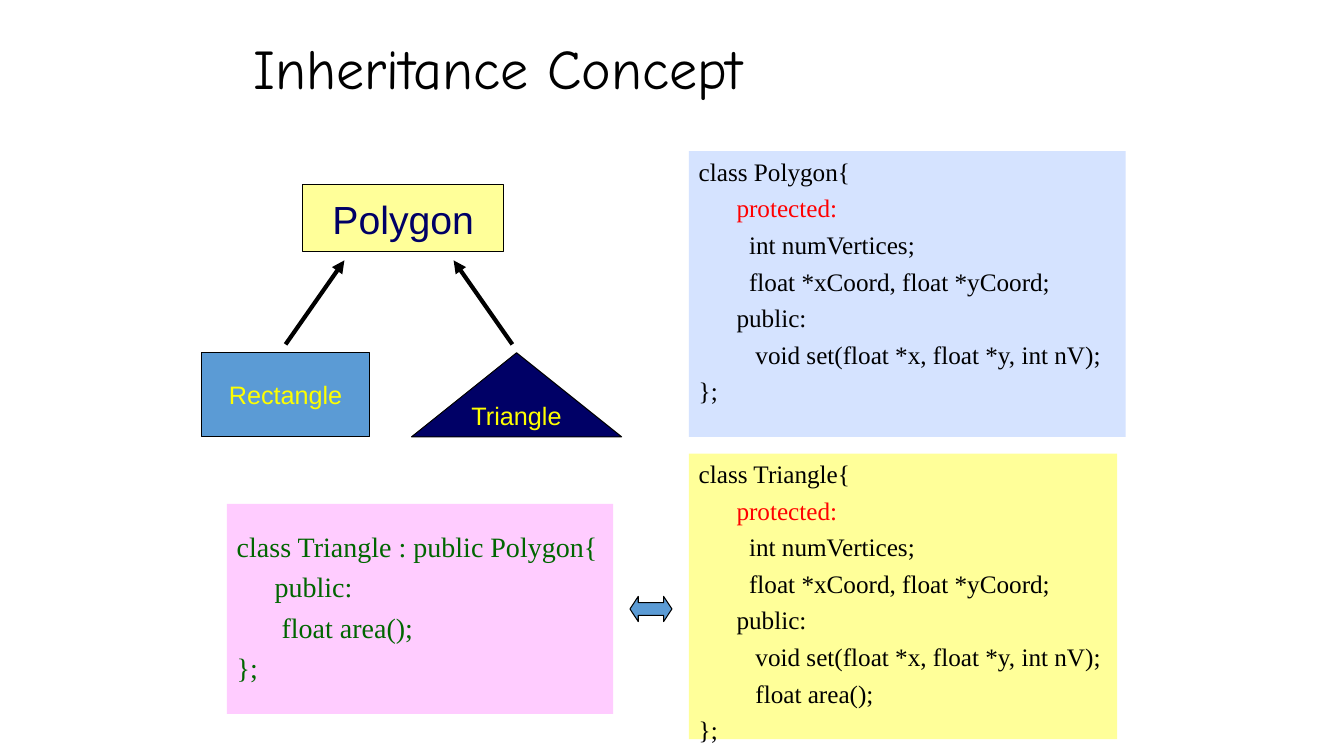
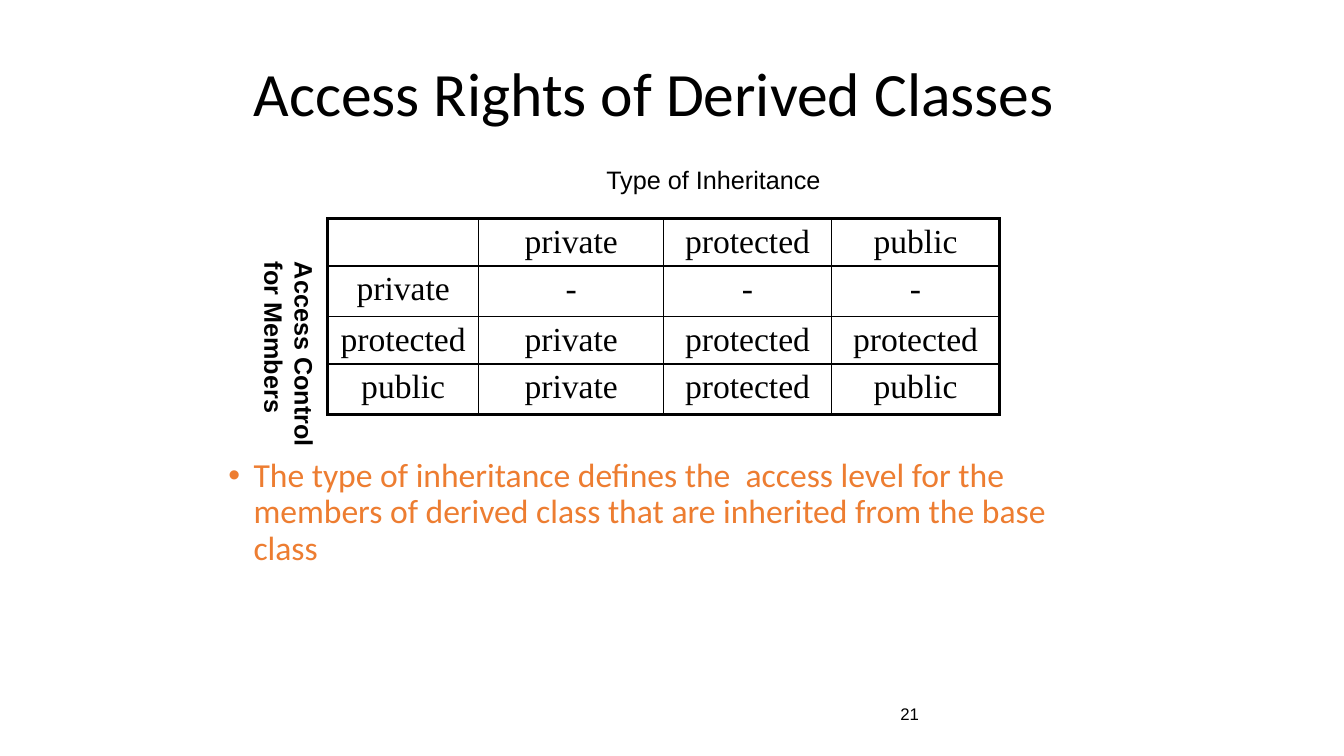
from lxml import etree
from pptx import Presentation
from pptx.dml.color import RGBColor
from pptx.enum import shapes, text
from pptx.oxml import ns
from pptx.util import Pt

COLORS = {
    "black": "000000", "red": "FF0000", "navy": "000066", "green": "006600",
    "blue": "5B9BD5", "pale_blue": "D5E3FF", "yellow": "FFFF00",
    "pale_yellow": "FFFF99", "pink": "FFCCFF", "orange": "ED7D31",
}
SANS, SERIF, BODY = "Arial", "Times New Roman", "Calibri"
SHAPE, ALIGN, ANCHOR = shapes.MSO_SHAPE, text.PP_ALIGN, text.MSO_ANCHOR

# Positions are (left, top, width, height) in points.
TITLES = {
    "inheritance": ("Inheritance Concept", (174, 24, 612, 54), "Comic Neue", 40),
    "access": ("Access Rights of Derived Classes", (174, 30, 612, 78), BODY, 44),
}
CLASSES = [  # name, outline, position, fill, text size, text colour
    ("Rectangle", SHAPE.RECTANGLE, (144, 252, 120, 60), "blue", 18, "yellow"),
    ("Triangle", SHAPE.ISOSCELES_TRIANGLE, (294, 252, 150, 60), "navy", 18, "yellow"),
    ("Polygon", SHAPE.RECTANGLE, (216, 132, 144, 48), "pale_yellow", 28, "navy"),
]
INHERITS = [((204, 246), (246, 186)), ((366, 246), (324, 186))]
EQUIVALENCE = (450, 426, 30, 18)

# Code lines are (indent in points, text).
MEMBERS = [
    (27, "protected:"),
    (36, "int numVertices;"),
    (36, "float *xCoord, float *yCoord;"),
    (27, "public:"),
    (40.5, "void set(float *x, float *y, int nV);"),
]
END = (0, "};")
LISTINGS = [  # position, fill, text size, text colour, top inset, lines
    ((492, 108, 312, 204), "pale_blue", 18, "black", 3.6,
     [(0, "class Polygon{"), *MEMBERS, END]),
    ((162, 360, 276, 150), "pink", 20, "green", 18,
     [(0, "class Triangle : public Polygon{"), (27, "public:"),
      (32, "float area();"), END]),
    ((492, 324, 306, 204), "pale_yellow", 18, "black", 3.6,
     [(0, "class Triangle{"), *MEMBERS, (40.5, "float area();"), END]),
]

ACCESS_RIGHTS = [
    ["", "private", "protected", "public"],
    ["private", "-", "-", "-"],
    ["protected", "private", "protected", "protected"],
    ["public", "private", "protected", "public"],
]
COLUMN_WIDTHS = [108, 132, 120, 120]
ROW_HEIGHTS = [34, 36, 34, 36]
TABLE_CORNER = (234, 156)
COLUMN_HEADING = ("Type of Inheritance", (426, 114, 169, 29))
ROW_HEADING = ("Access Control\nfor Members", (173.5, 180, 58.5, 140.5))
EXPLANATION = ("The type of inheritance defines the  access level for the members "
               "of derived class that are inherited from the base class",
               (156, 324, 630, 198))
PAGE_NUMBER = ("21", (636, 492, 150, 36))


def rgb(name):
    return RGBColor.from_string(COLORS[name])


def points(values):
    return [Pt(value) for value in values]


def style(paragraph, font, size, color="black", bold=False, align=ALIGN.LEFT):
    paragraph.alignment = align
    for run in paragraph.runs:
        run.font.name, run.font.size, run.font.bold = font, Pt(size), bold
        run.font.color.rgb = rgb(color)


def add_title_slide(deck, key):
    words, place, font, size = TITLES[key]
    slide = deck.slides.add_slide(deck.slide_layouts[5])
    title = slide.shapes.title
    title.left, title.top, title.width, title.height = points(place)
    frame = title.text_frame
    frame.text = words
    frame.auto_size = text.MSO_AUTO_SIZE.NONE
    frame.vertical_anchor = ANCHOR.MIDDLE
    frame.paragraphs[0].line_spacing = 0.9
    style(frame.paragraphs[0], font, size)
    return slide


def add_filled(slide, outline, place, fill, outlined=True):
    shape = slide.shapes.add_shape(outline, *points(place))
    shape.shadow.inherit = False
    shape.fill.solid()
    shape.fill.fore_color.rgb = rgb(fill)
    if outlined:
        shape.line.color.rgb = rgb("black")
        shape.line.width = Pt(0.75)
    else:
        shape.line.fill.background()
    return shape


def add_class(slide, name, outline, place, fill, size, color):
    frame = add_filled(slide, outline, place, fill).text_frame
    frame.text = name
    frame.word_wrap = False
    frame.vertical_anchor = ANCHOR.MIDDLE
    style(frame.paragraphs[0], SANS, size, color, align=ALIGN.CENTER)


def add_listing(slide, place, fill, size, color, inset, lines):
    frame = add_filled(slide, SHAPE.RECTANGLE, place, fill, outlined=False).text_frame
    frame.text = "\n".join(line for _, line in lines)
    frame.word_wrap = True
    frame.vertical_anchor = ANCHOR.TOP
    frame.margin_top = Pt(inset)
    for number, (paragraph, (indent, line)) in enumerate(zip(frame.paragraphs, lines)):
        style(paragraph, SERIF, size, "red" if line == "protected:" else color)
        paragraph.space_before = Pt(size * 0.25 if number else 0)
        properties = paragraph._p.get_or_add_pPr()
        properties.set("marL", str(Pt(indent)))
        properties.set("indent", "0")


def add_inherits_arrow(slide, start, end):
    arrow = slide.shapes.add_connector(
        shapes.MSO_CONNECTOR.STRAIGHT, *points(start + end))
    arrow.line.color.rgb = rgb("black")
    arrow.line.width = Pt(3)
    etree.SubElement(arrow.line._get_or_add_ln(), ns.qn("a:tailEnd"), type="triangle")
    etree.SubElement(arrow._element.spPr, ns.qn("a:effectLst"))


def add_label(slide, words, place, font, size, color="black", bold=False, wrap=False):
    frame = slide.shapes.add_textbox(*points(place)).text_frame
    frame.text = words
    frame.word_wrap = wrap
    for paragraph in frame.paragraphs:
        style(paragraph, font, size, color, bold)
    return frame


def set_borders(cell, widths):
    properties = cell._tc.get_or_add_tcPr()
    for position, (side, width) in enumerate(widths.items()):
        line = etree.Element(ns.qn(f"a:ln{side}"), w=str(Pt(width)))
        fill = etree.SubElement(line, ns.qn("a:solidFill"))
        etree.SubElement(fill, ns.qn("a:srgbClr"), val=COLORS["black"])
        properties.insert(position, line)


def add_access_table(slide):
    rows, columns = len(ROW_HEIGHTS), len(COLUMN_WIDTHS)
    size = (sum(COLUMN_WIDTHS), sum(ROW_HEIGHTS))
    table = slide.shapes.add_table(rows, columns, *points(TABLE_CORNER + size)).table
    table.first_row = table.horz_banding = False
    for column, width in zip(table.columns, COLUMN_WIDTHS):
        column.width = Pt(width)
    for r, row in enumerate(ACCESS_RIGHTS):
        table.rows[r].height = Pt(ROW_HEIGHTS[r])
        for c, words in enumerate(row):
            cell = table.cell(r, c)
            cell.text = words
            cell.margin_top, cell.margin_bottom = Pt(3.6), Pt(2)
            cell.fill.background()
            style(cell.text_frame.paragraphs[0], SERIF, 24, align=ALIGN.CENTER)
            outer = {"L": c == 0, "R": c == columns - 1,
                     "T": r == 0, "B": r == rows - 1}
            set_borders(cell, {side: 2.25 if edge else 1
                               for side, edge in outer.items()})


def build_inheritance(deck):
    slide = add_title_slide(deck, "inheritance")
    for item in CLASSES:
        add_class(slide, *item)
    for start, end in INHERITS:
        add_inherits_arrow(slide, start, end)
    for listing in LISTINGS:
        add_listing(slide, *listing)
    equivalence = add_filled(slide, SHAPE.LEFT_RIGHT_ARROW, EQUIVALENCE, "blue")
    equivalence.adjustments[1] = 0.33


def build_access_rights(deck):
    slide = add_title_slide(deck, "access")
    add_access_table(slide)
    add_label(slide, *COLUMN_HEADING, SANS, 18)
    row_heading = add_label(slide, *ROW_HEADING, SANS, 18, bold=True)
    row_heading._txBody.bodyPr.set("vert", "eaVert")

    explanation = add_label(slide, *EXPLANATION, BODY, 24, "orange", wrap=True)
    paragraph = explanation.paragraphs[0]
    paragraph.line_spacing = 0.9
    properties = paragraph._p.get_or_add_pPr()
    properties.set("marL", str(Pt(18)))
    properties.set("indent", str(-Pt(18)))
    etree.SubElement(properties, ns.qn("a:buFont"), typeface=SANS)
    etree.SubElement(properties, ns.qn("a:buChar"), char="•")

    page_number = add_label(slide, *PAGE_NUMBER, SANS, 12, wrap=True)
    page_number.vertical_anchor = ANCHOR.MIDDLE


def main():
    deck = Presentation()
    deck.slide_width, deck.slide_height = Pt(960), Pt(540)
    build_inheritance(deck)
    build_access_rights(deck)
    deck.save("out.pptx")


if __name__ == "__main__":
    main()
